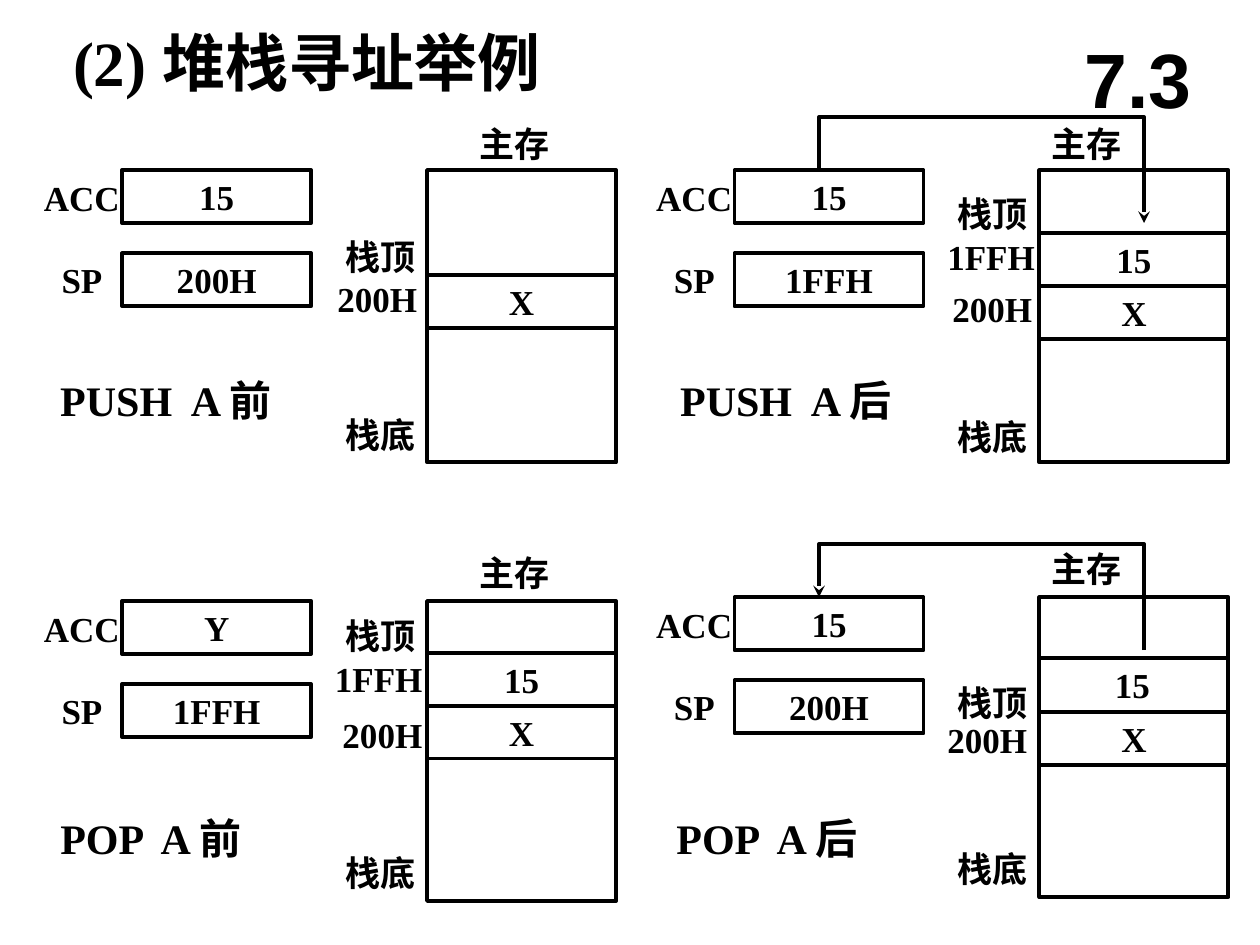
from dataclasses import dataclass

from lxml.etree import SubElement
from pptx import Presentation
from pptx.dml.color import RGBColor
from pptx.enum.shapes import MSO_CONNECTOR, MSO_SHAPE
from pptx.enum.text import MSO_ANCHOR, MSO_AUTO_SIZE, PP_ALIGN
from pptx.oxml.ns import qn
from pptx.util import Inches, Pt


@dataclass(frozen=True)
class Theme:
    ink: RGBColor = RGBColor(0, 0, 0)
    serif: str = "Times New Roman"
    sans: str = "Arial"
    title: int = 36
    section: int = 44
    caption: int = 24
    label: int = 20
    line: float = 2.25


theme = Theme()
presentation = Presentation()
presentation.slide_width = Inches(10)
presentation.slide_height = Inches(7.5)
slide = presentation.slides.add_slide(presentation.slide_layouts[5])


def write(shape, text, size=theme.label, font=theme.serif, align=PP_ALIGN.LEFT,
          anchor=MSO_ANCHOR.TOP, wrap=True):
    frame = shape.text_frame
    frame.text = text
    frame.word_wrap = wrap
    frame.auto_size = MSO_AUTO_SIZE.NONE
    frame.vertical_anchor = anchor
    paragraph = frame.paragraphs[0]
    paragraph.alignment = align
    for run in paragraph.runs:
        run.font.name = font
        run.font.size = Pt(size)
        run.font.bold = True
        run.font.color.rgb = theme.ink


def add_box(left, top, height, text=""):
    """Add an outlined register or memory cell."""
    box = slide.shapes.add_shape(MSO_SHAPE.RECTANGLE, Inches(left), Inches(top),
                                 Inches(BOX_WIDTH), Inches(height))
    box.shadow.inherit = False
    box.fill.background()
    box.line.color.rgb = theme.ink
    box.line.width = Pt(theme.line)
    if text:
        write(box, text, align=PP_ALIGN.CENTER, anchor=MSO_ANCHOR.MIDDLE, wrap=False)


BOX_WIDTH, CELL_HEIGHT, LABEL_HEIGHT = 1.5, 0.42, 0.44
LABEL_SLACK = 0.04  # keeps each label on one line
REGISTER_LEFTS = (0.97, 5.83)
MEMORY_OFFSET = 2.42

title = slide.shapes.title
title.left, title.top = Inches(0.48), Inches(0.14)
title.width, title.height = Inches(4.52), Inches(0.7)
write(title, "(2) 堆栈寻址举例", theme.title)

section = slide.shapes.add_textbox(Inches(8.41), Inches(0.16), Inches(1.25), Inches(0.92))
write(section, "7.3", theme.section, theme.sans, PP_ALIGN.CENTER, MSO_ANCHOR.MIDDLE)

# Cells are (text, top); labels are (text, left, top, width); tops count from the panel top.
panels = [
    dict(column=0, top=1.35, memory=2.32, acc="15", sp="200H",
         cells=[("X", 0.83)],
         labels=[("主存", 3.71, -0.43, 0.75), ("栈顶", 2.64, 0.47, 0.75),
                 ("200H", 2.58, 0.8, 0.83), ("栈底", 2.64, 1.88, 0.75)],
         caption=("PUSH  A 前", 0.38, 2.92, 1.99)),
    dict(column=1, top=1.35, memory=2.32, acc="15", sp="1FFH",
         cells=[("15", 0.5), ("X", 0.92)],
         labels=[("主存", 8.25, -0.43, 0.75), ("栈顶", 7.5, 0.13, 0.75),
                 ("1FFH", 7.42, 0.47, 0.89), ("200H", 7.46, 0.88, 0.83),
                 ("栈底", 7.5, 1.9, 0.75)],
         caption=("PUSH  A 后", 5.3, 2.92, 1.99), arrow="to memory"),
    dict(column=0, top=4.77, memory=2.38, acc="Y", sp="1FFH",
         cells=[("15", 0.41), ("X", 0.83)],
         labels=[("主存", 3.71, -0.44, 0.75), ("栈顶", 2.64, 0.06, 0.75),
                 ("1FFH", 2.56, 0.4, 0.89), ("200H", 2.62, 0.84, 0.83),
                 ("栈底", 2.64, 1.94, 0.75)],
         caption=("POP  A 前", 0.38, 6.4, 1.77)),
    dict(column=1, top=4.74, memory=2.38, acc="15", sp="200H",
         cells=[("X", 0.91)],
         labels=[("主存", 8.25, -0.44, 0.75), ("栈顶", 7.5, 0.62, 0.75),
                 ("200H", 7.42, 0.91, 0.83), ("栈底", 7.5, 1.94, 0.75),
                 ("15", 8.75, 0.48, 0.92)],
         caption=("POP  A 后", 5.27, 6.4, 1.77), arrow="to register"),
]

for panel in panels:
    left, top = REGISTER_LEFTS[panel["column"]], panel["top"]
    memory_left = left + MEMORY_OFFSET

    add_box(left, top, CELL_HEIGHT, panel["acc"])
    add_box(left, top + 0.66, CELL_HEIGHT, panel["sp"])
    add_box(memory_left, top, panel["memory"])
    for text, offset in panel["cells"]:
        add_box(memory_left, top + offset, CELL_HEIGHT, text)

    register_labels = [("ACC", left - 0.72, 0, 0.8), ("SP", left - 0.58, 0.65, 0.52)]
    for text, label_left, offset, width in register_labels + panel["labels"]:
        label = slide.shapes.add_textbox(Inches(label_left), Inches(top + offset),
                                         Inches(width + LABEL_SLACK), Inches(LABEL_HEIGHT))
        write(label, text)

    text, caption_left, caption_top, width = panel["caption"]
    caption = slide.shapes.add_textbox(Inches(caption_left), Inches(caption_top),
                                       Inches(width + LABEL_SLACK), Inches(0.5))
    write(caption, text, theme.caption)

    if "arrow" in panel:
        register_x, memory_x = left + 0.67, left + 3.25
        route = [(register_x, top), (register_x, top - 0.42),
                 (memory_x, top - 0.42), (memory_x, top + 0.42)]
        if panel["arrow"] == "to register":
            route.reverse()
        points = [(Inches(x), Inches(y)) for x, y in route]
        builder = slide.shapes.build_freeform(*points[0])
        builder.add_line_segments(points[1:], close=False)
        arrow = builder.convert_to_shape()
        arrow.shadow.inherit = False
        arrow.fill.background()
        arrow.line.color.rgb = theme.ink
        arrow.line.width = Pt(theme.line)
        SubElement(arrow.line._get_or_add_ln(), qn("a:tailEnd"), type="stealth")

# The upper edge of the popped cell is a single line.
popped_edge = slide.shapes.add_connector(MSO_CONNECTOR.STRAIGHT, Inches(8.25), Inches(5.22),
                                         Inches(9.75), Inches(5.22))
popped_edge.line.color.rgb = theme.ink
popped_edge.line.width = Pt(theme.line)
SubElement(popped_edge._element.spPr, qn("a:effectLst"))

presentation.save("out.pptx")
